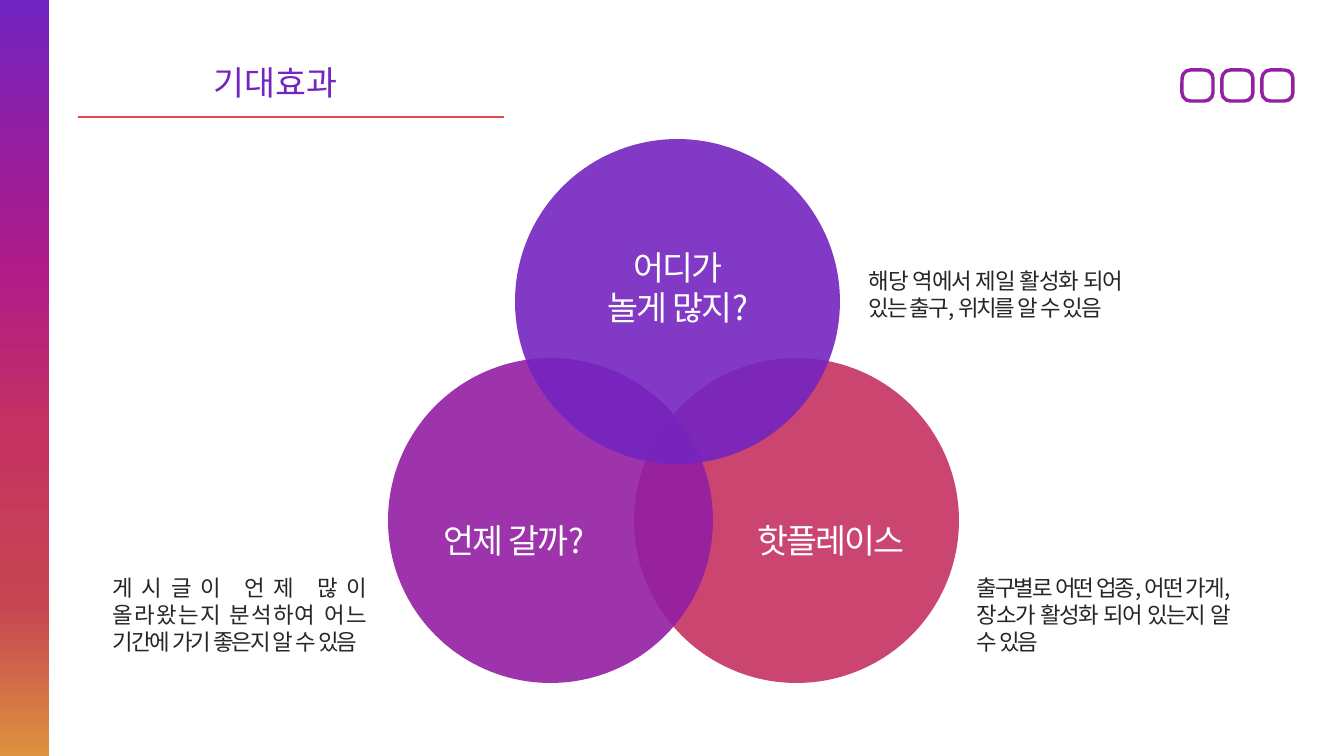
from dataclasses import dataclass

from pptx import Presentation
from pptx.dml.color import RGBColor
from pptx.enum.lang import MSO_LANGUAGE_ID
from pptx.enum.shapes import MSO_CONNECTOR, MSO_SHAPE
from pptx.enum.text import MSO_AUTO_SIZE, PP_ALIGN
from pptx.oxml.ns import qn
from pptx.util import Pt
from lxml import etree

RECTANGLE, ROUNDED, OVAL = MSO_SHAPE.RECTANGLE, MSO_SHAPE.ROUNDED_RECTANGLE, MSO_SHAPE.OVAL
STRAIGHT = MSO_CONNECTOR.STRAIGHT
LEFT, CENTER, JUSTIFY = PP_ALIGN.LEFT, PP_ALIGN.CENTER, PP_ALIGN.JUSTIFY
GROW = MSO_AUTO_SIZE.SHAPE_TO_FIT_TEXT
KOREAN = MSO_LANGUAGE_ID.KOREAN

PAGE_WIDTH, PAGE_HEIGHT = 1344, 756
EMU_PER_PX = 12192000 / PAGE_WIDTH


@dataclass(frozen=True)
class Theme:
    font: str = "Noto Sans CJK KR"
    violet: str = "7424C0"
    purple: str = "931FA2"
    crimson: str = "C53261"
    rule: str = "E54851"
    ink: str = "262626"
    white: str = "FFFFFF"
    heading_size: int = 24
    note_size: int = 16
    tight: int = -150
    bar_stops: tuple = ((0, "7224C2"), (18, "931FA2"), (36, "B01B87"),
                        (57, "C53261"), (80, "C64552"), (100, "DD923F"))


THEME = Theme()


def px(*lengths):
    return [round(length * EMU_PER_PX) for length in lengths]


def rgb(code):
    return RGBColor.from_string(code)


def add_plain_shape(shapes, kind, box):
    shape = shapes.add_shape(kind, *px(*box))
    shape.shadow.inherit = False
    shape.line.fill.background()
    return shape


def add_text(page, box, lines, size, color, align, wrap=True, spacing=0):
    frame = page.shapes.add_textbox(*px(*box)).text_frame
    frame.word_wrap = wrap
    frame.auto_size = GROW
    font_format = {"name": THEME.font, "size": Pt(size), "language_id": KOREAN}
    for index, line in enumerate(lines):
        para = frame.add_paragraph() if index else frame.paragraphs[0]
        para.alignment = align
        span = para.add_run()
        span.text = line
        for name, value in font_format.items():
            setattr(span.font, name, value)
        span.font.color.rgb = rgb(color)
        properties = span.font._element
        etree.SubElement(properties, qn("a:ea")).set("typeface", THEME.font)
        if spacing:
            properties.set("spc", str(spacing))


def add_side_bar(page, box):
    """Fill the box with the theme's stops, running from top to bottom."""
    bar = add_plain_shape(page.shapes, RECTANGLE, box)
    bar.fill.gradient()
    bar.fill.gradient_angle = 270
    stops = bar._element.spPr.find(".//" + qn("a:gsLst"))
    for stop in list(stops):
        stops.remove(stop)
    for percent, color in THEME.bar_stops:
        stop = etree.SubElement(stops, qn("a:gs"), pos=str(percent * 1000))
        etree.SubElement(stop, qn("a:srgbClr"), val=color)


def add_header(page, box):
    """Place the title over a rule along the bottom of the box."""
    left, top, width, height = box
    add_text(page, (left + 126, top, 151, 50), ["기대효과"],
             THEME.heading_size, THEME.violet, LEFT)
    bottom = top + height
    rule = page.shapes.add_connector(STRAIGHT, *px(left, bottom, left + width, bottom))
    rule.line.color.rgb = rgb(THEME.rule)
    rule.line.width = Pt(1.5)
    etree.SubElement(rule._element.spPr, qn("a:effectLst"))


def add_corner_squares(page, box, count=3):
    left, top, width, side = box
    pitch = (width - side) // (count - 1)
    squares = page.shapes.add_group_shape().shapes
    for index in range(count):
        square = add_plain_shape(squares, ROUNDED, (left + index * pitch, top, side, side))
        square.adjustments[0] = 0.27
        square.fill.background()
        square.line.color.rgb = rgb(THEME.purple)
        square.line.width = Pt(2.5)


def add_venn(page, box):
    """Overlap three circles in the box, then label them and add a note to each."""
    left, top = box[:2]
    diameter = 325
    circles = ((246, 219, THEME.crimson), (0, 219, THEME.purple), (127, 0, THEME.violet))
    for dx, dy, color in circles:
        circle = add_plain_shape(page.shapes, OVAL, (left + dx, top + dy, diameter, diameter))
        circle.fill.solid()
        circle.fill.fore_color.rgb = rgb(color)
        tint = circle._element.spPr.find(".//" + qn("a:srgbClr"))
        etree.SubElement(tint, qn("a:alpha"), val="90000")

    labels = (
        (41, 376, 170, 50, ["언제 갈까?"]),
        (205, 103, 170, 91, ["어디가", "놀게 많지?"]),
        (354, 376, 178, 50, ["핫플레이스"]),
    )
    for dx, dy, width, height, lines in labels:
        add_text(page, (left + dx, top + dy, width, height), lines,
                 THEME.heading_size, THEME.white, CENTER, wrap=False, spacing=THEME.tight)

    notes = (
        (-285, 430, "게시글이 언제 많이 올라왔는지 분석하여 어느 기간에 가기 좋은지 알 수 있음"),
        (471, 123, "해당 역에서 제일 활성화 되어 있는 출구, 위치를 알 수 있음"),
        (579, 430, "출구별로 어떤 업종, 어떤 가게, 장소가 활성화 되어 있는지 알 수 있음"),
    )
    for dx, dy, note in notes:
        add_text(page, (left + dx, top + dy, 272, 91), [note],
                 THEME.note_size, THEME.ink, JUSTIFY, spacing=THEME.tight)


def main():
    deck = Presentation()
    deck.slide_width, deck.slide_height = px(PAGE_WIDTH, PAGE_HEIGHT)
    page = deck.slides.add_slide(deck.slide_layouts[6])
    add_side_bar(page, (0, 0, 49, PAGE_HEIGHT))
    add_corner_squares(page, (1182, 70, 111, 31))
    add_header(page, (78, 57, 426, 60))
    add_venn(page, (388, 139, 571, 544))
    deck.save("out.pptx")


if __name__ == "__main__":
    main()
